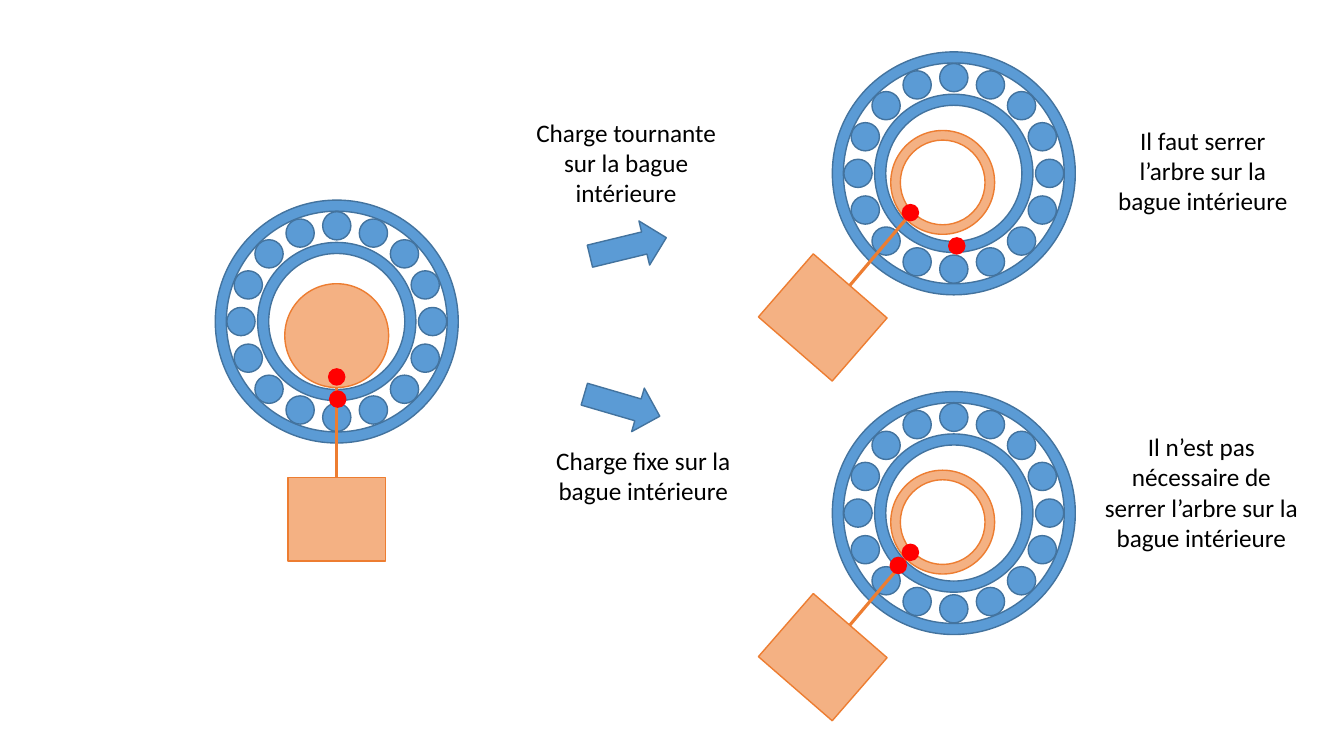
import math
from dataclasses import dataclass

import pptx
import pptx.dml.color
import pptx.enum.shapes
import pptx.enum.text
import pptx.oxml.ns
import pptx.util
from lxml import etree
from pptx.util import Inches

SHAPE = pptx.enum.shapes.MSO_SHAPE
BLUE, BLUE_EDGE = "5B9BD5", "43739E"
ORANGE, ORANGE_EDGE = "F4B183", "ED7D31"
RED, WHITE, BLACK = "FF0000", "FFFFFF", "000000"

RING_DIAMETERS = [(2.41, BLUE), (2.19, WHITE), (1.57, BLUE), (1.35, WHITE)]
BALL_COUNT, BALL_SIZE, BALL_ORBIT = 16, 0.28, 0.95
SHAFT_SIZE, BORE_SIZE, MARK_SIZE = 1.03, 0.84, 0.16
LOAD_SIZE, ARROW_SIZE = (0.97, 0.83), (0.78, 0.45)

Point = tuple[float, float]


@dataclass
class Load:
    """Shaft with a hanging weight; points are offsets from the bearing centre."""
    shaft: Point
    cord_start: Point
    cord_end: Point
    weight: Point
    angle: float
    hollow: bool


@dataclass
class Bearing:
    centre: Point
    load: Load
    marks: list[Point]


@dataclass
class Arrow:
    centre: Point
    angle: float


@dataclass
class Caption:
    left: float
    top: float
    width: float
    height: float
    text: str


HANGING = Load((0, 0.14), (0, 0.65), (0, 1.54), (0, 1.96), 0, False)
TURNED = Load((-0.11, 0.09), (-0.47, 0.45), (-1.03, 1.11), (-1.3, 1.43), 41, True)

BEARINGS = [
    Bearing((3.34, 3.19), HANGING, [(0, 0.55), (0.01, 0.77)]),
    Bearing((9.46, 1.72), TURNED, [(0.03, 0.72), (-0.43, 0.39)]),
    Bearing((9.46, 5.09), TURNED, [(-0.55, 0.52), (-0.43, 0.39)]),
]
ARROWS = [Arrow((6.23, 2.45), 346.4), Arrow((6.17, 4.02), 16.3)]
CAPTIONS = [
    Caption(5.2, 1.11, 2.02, 1.01, "Charge tournante sur la bague intérieure"),
    Caption(5.37, 4.37, 2.02, 0.71, "Charge fixe sur la bague intérieure"),
    Caption(10.92, 1.19, 2.02, 1.01, "Il faut serrer l’arbre sur la bague intérieure"),
    Caption(10.82, 4.23, 2.19, 1.31,
            "Il n’est pas nécessaire de serrer l’arbre sur la bague intérieure"),
]
FRAME_FORMAT = {
    "word_wrap": True,
    "auto_size": pptx.enum.text.MSO_AUTO_SIZE.SHAPE_TO_FIT_TEXT,
}
FONT_FORMAT = {"name": "Calibri", "size": pptx.util.Pt(18)}


def rgb(value: str) -> pptx.dml.color.RGBColor:
    return pptx.dml.color.RGBColor.from_string(value)


def apply_format(target: object, values: dict) -> None:
    for name, value in values.items():
        setattr(target, name, value)


def shift(origin: Point, offset: Point) -> Point:
    return origin[0] + offset[0], origin[1] + offset[1]


def draw_centred(shapes, kind, centre: Point, size: Point,
                 fill: str, edge: str, angle: float = 0) -> None:
    (x, y), (width, height) = centre, size
    figure = shapes.add_shape(kind, Inches(x - width / 2), Inches(y - height / 2),
                              Inches(width), Inches(height))
    figure.rotation = angle
    figure.shadow.inherit = False
    figure.fill.solid()
    figure.fill.fore_color.rgb = rgb(fill)
    figure.line.color.rgb = rgb(edge)
    figure.line.width = pptx.util.Pt(1)


def draw_disc(shapes, centre: Point, diameter: float, fill: str, edge: str) -> None:
    draw_centred(shapes, SHAPE.OVAL, centre, (diameter, diameter), fill, edge)


def draw_cord(shapes, start: Point, end: Point) -> None:
    cord = shapes.add_connector(pptx.enum.shapes.MSO_CONNECTOR.STRAIGHT,
                                *map(Inches, (*start, *end)))
    cord.line.color.rgb = rgb(ORANGE_EDGE)
    cord.line.width = pptx.util.Pt(2.25)
    etree.SubElement(cord._element.spPr, pptx.oxml.ns.qn("a:effectLst"))


def draw_bearing(slide, bearing: Bearing) -> None:
    shapes = slide.shapes.add_group_shape().shapes
    centre, load = bearing.centre, bearing.load

    # Rings and balls
    for diameter, fill in RING_DIAMETERS:
        draw_disc(shapes, centre, diameter, fill, BLUE_EDGE)
    for index in range(BALL_COUNT):
        turn = 2 * math.pi * index / BALL_COUNT
        ball = shift(centre, (BALL_ORBIT * math.cos(turn), BALL_ORBIT * math.sin(turn)))
        draw_disc(shapes, ball, BALL_SIZE, BLUE, BLUE_EDGE)

    # Shaft, cord and weight
    shaft = shift(centre, load.shaft)
    draw_disc(shapes, shaft, SHAFT_SIZE, ORANGE, ORANGE_EDGE)
    if load.hollow:
        draw_disc(shapes, shaft, BORE_SIZE, WHITE, ORANGE_EDGE)
    draw_cord(shapes, shift(centre, load.cord_start), shift(centre, load.cord_end))
    draw_centred(shapes, SHAPE.RECTANGLE, shift(centre, load.weight), LOAD_SIZE,
                 ORANGE, ORANGE_EDGE, load.angle)

    # Contact marks
    for mark in bearing.marks:
        draw_disc(shapes, shift(centre, mark), MARK_SIZE, RED, RED)


def draw_caption(slide, caption: Caption) -> None:
    box = slide.shapes.add_textbox(Inches(caption.left), Inches(caption.top),
                                   Inches(caption.width), Inches(caption.height))
    apply_format(box.text_frame, FRAME_FORMAT)
    paragraph = box.text_frame.paragraphs[0]
    paragraph.alignment = pptx.enum.text.PP_ALIGN.CENTER
    run = paragraph.add_run()
    run.text = caption.text
    apply_format(run.font, FONT_FORMAT)
    run.font.color.rgb = rgb(BLACK)


def main() -> None:
    deck = pptx.Presentation()
    deck.slide_width, deck.slide_height = Inches(13.33), Inches(7.5)
    slide = deck.slides.add_slide(deck.slide_layouts[6])
    for bearing in BEARINGS:
        draw_bearing(slide, bearing)
    for arrow in ARROWS:
        draw_centred(slide.shapes, SHAPE.RIGHT_ARROW, arrow.centre, ARROW_SIZE,
                     BLUE, BLUE_EDGE, arrow.angle)
    for caption in CAPTIONS:
        draw_caption(slide, caption)
    deck.save("out.pptx")


if __name__ == "__main__":
    main()
